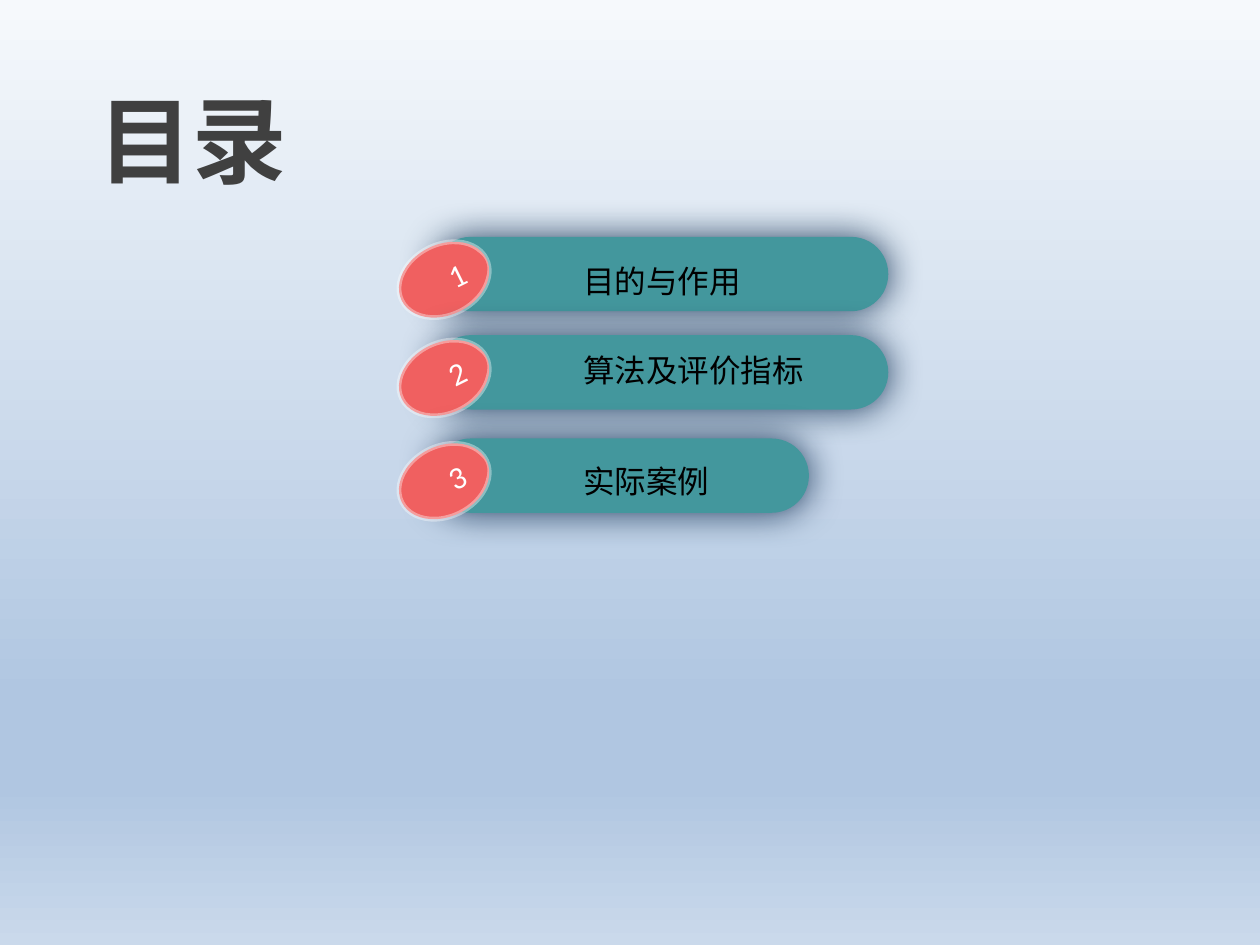
from lxml.etree import SubElement
from pptx import Presentation
from pptx.dml.color import RGBColor
from pptx.enum.shapes import MSO_SHAPE
from pptx.enum.text import MSO_ANCHOR, MSO_AUTO_SIZE, PP_ALIGN
from pptx.oxml.ns import qn
from pptx.util import Inches, Pt

WHITE = RGBColor(0xFF, 0xFF, 0xFF)
BLACK = RGBColor(0x00, 0x00, 0x00)
CHARCOAL = RGBColor(0x40, 0x40, 0x40)
TEAL = RGBColor(0x43, 0x97, 0x9D)
CORAL = RGBColor(0xF0, 0x60, 0x60)
NAVY = RGBColor(0x13, 0x31, 0x53)
SKY_TOP = RGBColor(0xF6, 0xF9, 0xFC)
SKY_MIDDLE = RGBColor(0xB0, 0xC6, 0xE1)
SKY_BOTTOM = RGBColor(0xCA, 0xD9, 0xEB)
SKY_STOPS = [(0, SKY_TOP), (74, SKY_MIDDLE), (83, SKY_MIDDLE), (100, SKY_BOTTOM)]

CHINESE_FONT = "Noto Sans CJK SC"
BAR_LEFT, BAR_HEIGHT = 3.44, 0.59
LABEL_LEFT, LABEL_HEIGHT = 4.53, 0.4
BADGE_TILT = 333.7

# bar top, bar width, label top, label width, label
ENTRIES = [
    (1.88, 3.61, 2.03, 1.46, "目的与作用"),
    (2.66, 3.61, 2.74, 1.97, "算法及评价指标"),
    (3.48, 2.98, 3.62, 1.21, "实际案例"),
]


def add_color(parent, color, alpha=None):
    element = SubElement(parent, qn("a:srgbClr"), val=str(color))
    if alpha is not None:
        SubElement(element, qn("a:alpha"), val=str(alpha * 1000))


def paint_background(slide):
    fill = slide.background.fill
    fill.gradient()
    fill.gradient_angle = 270
    stops = slide.element.find(".//" + qn("a:gsLst"))
    for stop in list(stops):
        stops.remove(stop)
    for position, color in SKY_STOPS:
        add_color(SubElement(stops, qn("a:gs"), pos=str(position * 1000)), color)


def add_solid(shapes, kind, left, top, width, height, color):
    shape = shapes.add_shape(
        kind, Inches(left), Inches(top), Inches(width), Inches(height))
    shape.shadow.inherit = False
    shape.fill.solid()
    shape.fill.fore_color.rgb = color
    shape.line.fill.background()
    return shape


def add_bar(slide, top, width):
    bar = add_solid(slide.shapes, MSO_SHAPE.ROUNDED_RECTANGLE,
                    BAR_LEFT, top, width, BAR_HEIGHT, TEAL)
    bar.adjustments[0] = 0.5
    effects = bar.element.spPr.find(qn("a:effectLst"))
    shadow = SubElement(effects, qn("a:outerShdw"), blurRad=str(Pt(21)),
                        dist="0", dir="5400000", algn="ctr", rotWithShape="0")
    add_color(shadow, NAVY, 92)


def style_text(shape, text, size, font_name, color, alignment, bold=False):
    paragraph = shape.text_frame.paragraphs[0]
    paragraph.text = text
    paragraph.alignment = alignment
    font = paragraph.font
    font.size = Pt(size)
    font.name = font_name
    font.bold = bold
    font.color.rgb = color
    return paragraph


def add_badge(slide, bar_top, number):
    """Add a tilted, outlined oval with a smaller numbered oval inside."""
    shapes = slide.shapes.add_group_shape().shapes
    rim = add_solid(shapes, MSO_SHAPE.OVAL, 3.15, bar_top + 0.06, 0.75, 0.56, CORAL)
    rim.line.width = Pt(2.75)
    rim.line.color.rgb = WHITE
    line_color = rim.line._get_or_add_ln().find(".//" + qn("a:srgbClr"))
    SubElement(line_color, qn("a:alpha"), val="38000")
    core = add_solid(shapes, MSO_SHAPE.OVAL, 3.37, bar_top + 0.11, 0.51, 0.38, CORAL)
    core.text_frame.vertical_anchor = MSO_ANCHOR.MIDDLE
    style_text(core, str(number), 18, "Calibri", WHITE, PP_ALIGN.CENTER)
    rim.rotation = core.rotation = BADGE_TILT


def add_text(slide, left, top, width, height, text, size, font_name, color,
             alignment=PP_ALIGN.LEFT, bold=False):
    box = slide.shapes.add_textbox(
        Inches(left), Inches(top), Inches(width), Inches(height))
    box.text_frame.word_wrap = False
    box.text_frame.auto_size = MSO_AUTO_SIZE.SHAPE_TO_FIT_TEXT
    paragraph = style_text(box, text, size, font_name, color, alignment, bold)
    properties = paragraph.runs[0].font._element
    SubElement(properties, qn("a:ea"), typeface=CHINESE_FONT)


def main():
    presentation = Presentation()
    presentation.slide_width = Inches(10)
    presentation.slide_height = Inches(7.5)
    slide = presentation.slides.add_slide(presentation.slide_layouts[6])
    paint_background(slide)

    for number, (bar_top, bar_width, *_) in enumerate(ENTRIES, start=1):
        add_bar(slide, bar_top, bar_width)
        add_badge(slide, bar_top, number)
    for _, _, label_top, label_width, label in ENTRIES:
        add_text(slide, LABEL_LEFT, label_top, label_width, LABEL_HEIGHT,
                 label, 18, CHINESE_FONT, BLACK)
    add_text(slide, 0.67, 0.6, 1.72, 1.01, "目录", 54, "Arial", CHARCOAL,
             PP_ALIGN.CENTER, bold=True)

    presentation.save("out.pptx")


if __name__ == "__main__":
    main()
